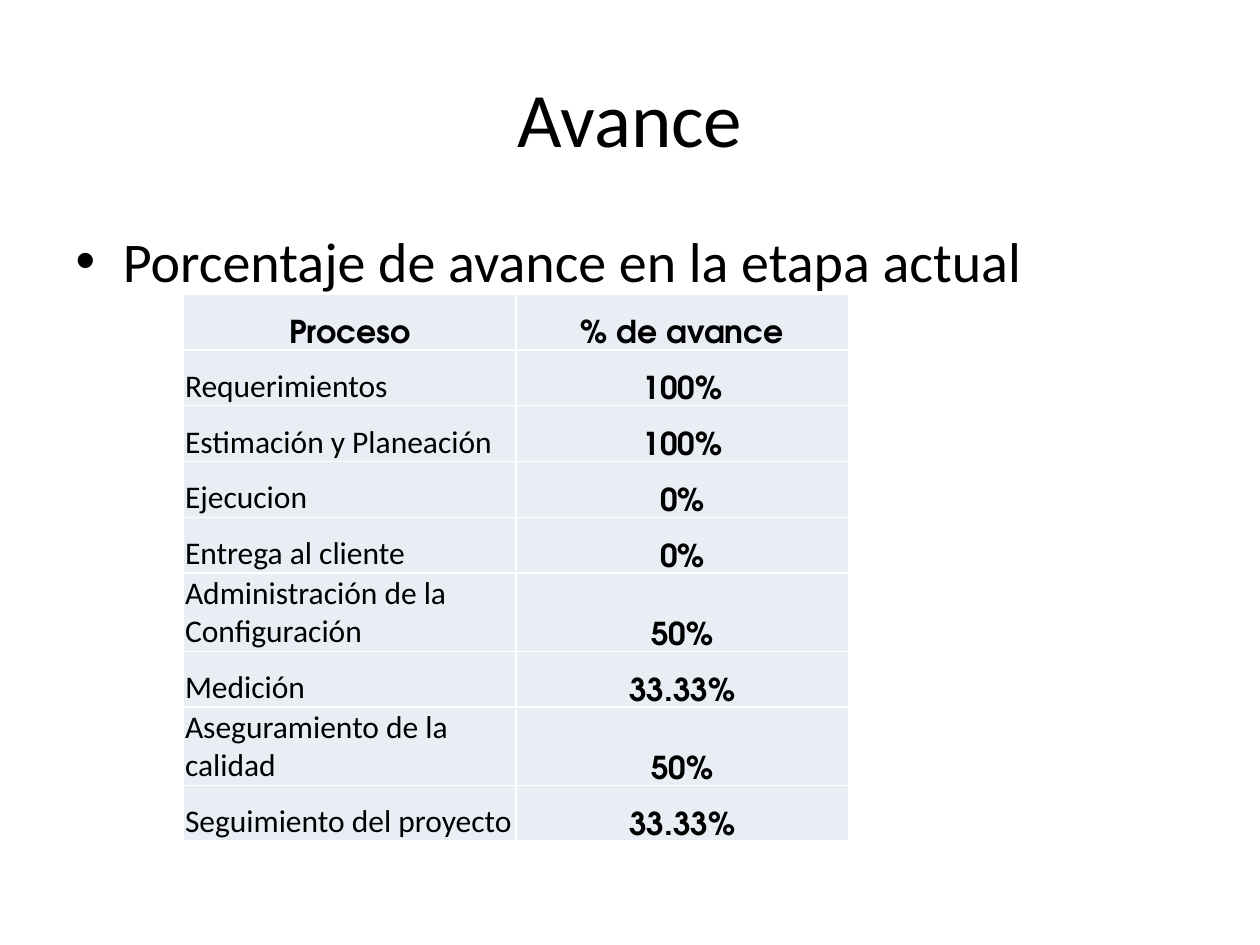
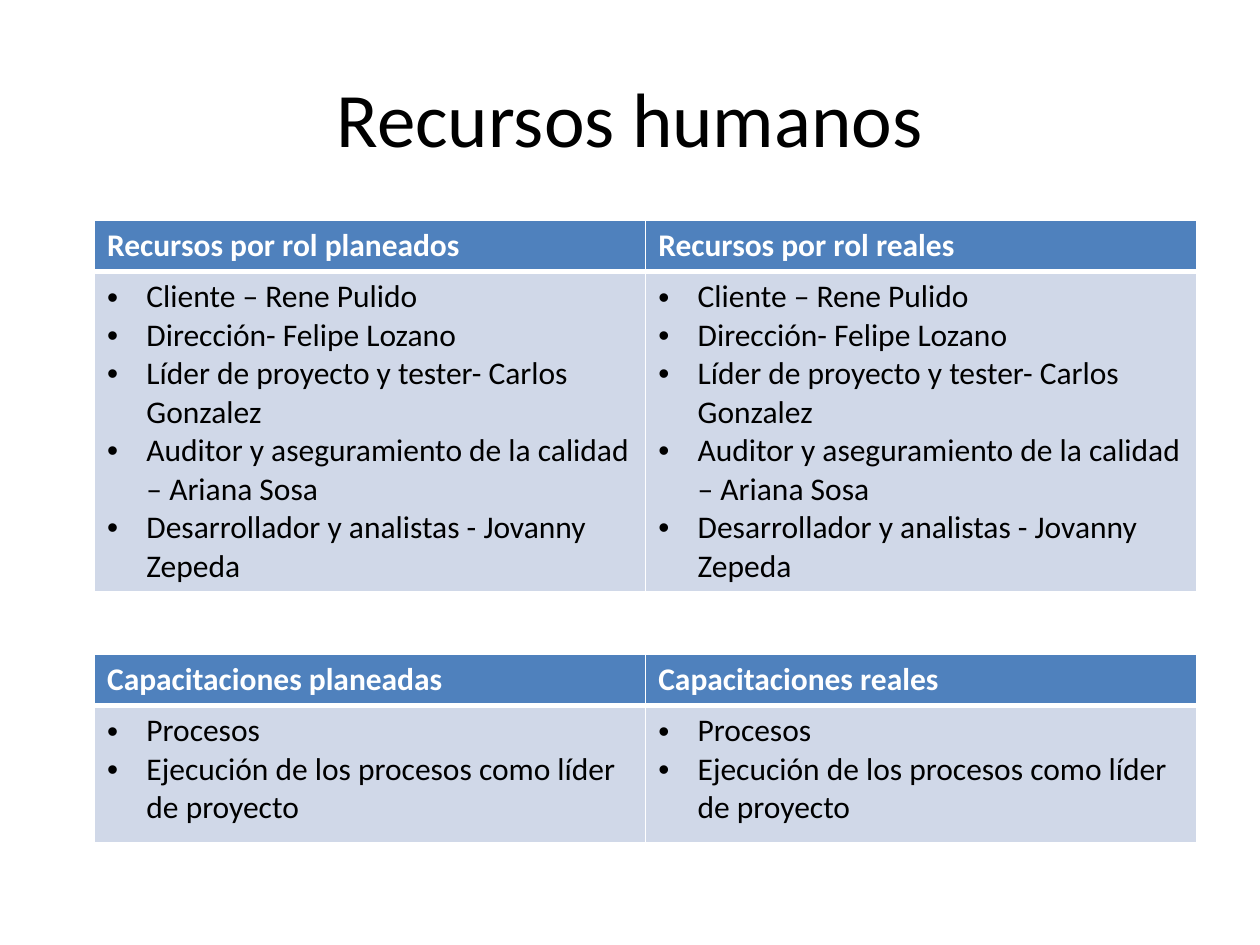
"""Progress and staffing slides of a project report."""
from dataclasses import dataclass

from lxml.etree import SubElement
from pptx import Presentation
from pptx.dml.color import RGBColor
from pptx.enum.text import MSO_ANCHOR, PP_ALIGN
from pptx.oxml.ns import qn
from pptx.presentation import Presentation as Deck
from pptx.slide import Slide
from pptx.table import Table, _Cell
from pptx.text.text import TextFrame, _Paragraph
from pptx.util import Pt

COLORS = {"text": "000000", "white": "FFFFFF", "header": "4F81BD",
          "body": "D0D8E8", "pale": "E9EDF4"}
FONT = "Calibri"
ACCENT_FONT = "TeX Gyre Adventor"
TITLE_AND_CONTENT, TITLE_ONLY = 1, 5

PROGRESS = [
    ("Proceso", "% de avance"),
    ("Requerimientos", "100%"),
    ("Estimación y Planeación", "100%"),
    ("Ejecucion", "0%"),
    ("Entrega al cliente", "0%"),
    ("Administración de la Configuración", "50%"),
    ("Medición", "33.33%"),
    ("Aseguramiento de la calidad", "50%"),
    ("Seguimiento del proyecto", "33.33%"),
]


@dataclass
class Comparison:
    """A table setting planned against actual, with the same list under both."""
    top: float
    heights: tuple[float, float]
    headers: tuple[str, str]
    items: list[str]


COMPARISONS = [
    Comparison(126, (25, 178.5), ("Recursos por rol planeados", "Recursos por rol reales"), [
        "Cliente – Rene Pulido",
        "Dirección- Felipe Lozano",
        "Líder de proyecto y tester- Carlos Gonzalez",
        "Auditor y aseguramiento de la calidad – Ariana Sosa",
        "Desarrollador y analistas - Jovanny Zepeda",
    ]),
    Comparison(374, (23, 78.5), ("Capacitaciones planeadas", "Capacitaciones reales"), [
        "Procesos",
        "Ejecución de los procesos como líder de proyecto",
    ]),
]


def set_bullet(p: _Paragraph, indent: float) -> None:
    """Give a paragraph a round bullet with a hanging indent."""
    pPr = p._p.get_or_add_pPr()
    pPr.set("marL", str(Pt(indent)))
    pPr.set("indent", str(-Pt(indent)))
    SubElement(pPr, qn("a:buFont"), typeface="Arial")
    SubElement(pPr, qn("a:buChar"), char="•")


def write(tf: TextFrame, *lines: str, size: float = 18, font: str = FONT,
          color: str = "text", bold: bool = False, align: PP_ALIGN = PP_ALIGN.LEFT,
          indent: float = 0) -> None:
    """Fill a text frame with one paragraph per line, bulleted if indented."""
    for i, line in enumerate(lines):
        p = tf.add_paragraph() if i else tf.paragraphs[0]
        p.alignment = align
        if indent:
            set_bullet(p, indent)
        r = p.add_run()
        r.text = line
        r.font.size, r.font.name, r.font.bold = Pt(size), font, bold
        r.font.color.rgb = RGBColor.from_string(COLORS[color])


def paint(cell: _Cell, fill: str, top: float = 1, bottom: float = 1) -> None:
    """Fill a cell and draw its white borders."""
    tcPr = cell._tc.get_or_add_tcPr()
    for side, width in (("L", 1), ("R", 1), ("T", top), ("B", bottom)):
        ln = SubElement(tcPr, qn(f"a:ln{side}"), w=str(Pt(width)))
        SubElement(SubElement(ln, qn("a:solidFill")), qn("a:srgbClr"), val=COLORS["white"])
    cell.fill.solid()
    cell.fill.fore_color.rgb = RGBColor.from_string(COLORS[fill])


def add_grid(s: Slide, left: float, top: float, col_width: float,
             heights: list[float]) -> Table:
    """Add a table of two equal columns with the given row heights."""
    table = s.shapes.add_table(len(heights), 2, Pt(left), Pt(top),
                               Pt(2 * col_width), Pt(sum(heights))).table
    for col in table.columns:
        col.width = Pt(col_width)
    for row, height in zip(table.rows, heights):
        row.height = Pt(height)
    return table


def add_slide(prs: Deck, layout: int, title: str) -> Slide:
    """Add a slide with the shared title style."""
    s = prs.slides.add_slide(prs.slide_layouts[layout])
    sp = s.shapes.title
    sp.left, sp.top, sp.width, sp.height = Pt(36), Pt(21.6), Pt(648), Pt(90)
    sp.text_frame.vertical_anchor = MSO_ANCHOR.MIDDLE
    write(sp.text_frame, title, size=44, align=PP_ALIGN.CENTER)
    return s


def add_progress(prs: Deck) -> None:
    """Add the slide with the progress of each process."""
    s = add_slide(prs, TITLE_AND_CONTENT, "Avance")
    body = s.placeholders[1]
    body.left, body.top, body.width, body.height = Pt(36), Pt(126), Pt(648), Pt(356.4)
    write(body.text_frame, "Porcentaje de avance en la etapa actual", size=32, indent=27)
    table = add_grid(s, 105, 168, 190, [31.9] * len(PROGRESS))
    for i, row in enumerate(PROGRESS):
        for j, text in enumerate(row):
            cell = table.cell(i, j)
            cell.vertical_anchor = MSO_ANCHOR.BOTTOM
            cell.margin_left = cell.margin_right = cell.margin_top = Pt(0.75)
            cell.margin_bottom = Pt(0)
            paint(cell, "pale")
            if i and not j:
                write(cell.text_frame, text)
            else:
                write(cell.text_frame, text, font=ACCENT_FONT, bold=True,
                      align=PP_ALIGN.CENTER)


def add_resources(prs: Deck) -> None:
    """Add the slide comparing planned and actual resources."""
    s = add_slide(prs, TITLE_ONLY, "Recursos humanos")
    for c in COMPARISONS:
        table = add_grid(s, 54, c.top, 315, list(c.heights))
        for j, header in enumerate(c.headers):
            head, body = table.cell(0, j), table.cell(1, j)
            paint(head, "header", bottom=3)
            write(head.text_frame, header, color="white", bold=True)
            paint(body, "body", top=3)
            write(body.text_frame, *c.items, indent=22.5)


def main() -> None:
    """Build and save the presentation."""
    prs = Presentation()
    prs.slide_width, prs.slide_height = Pt(720), Pt(540)
    add_progress(prs)
    add_resources(prs)
    prs.save("out.pptx")


if __name__ == "__main__":
    main()
